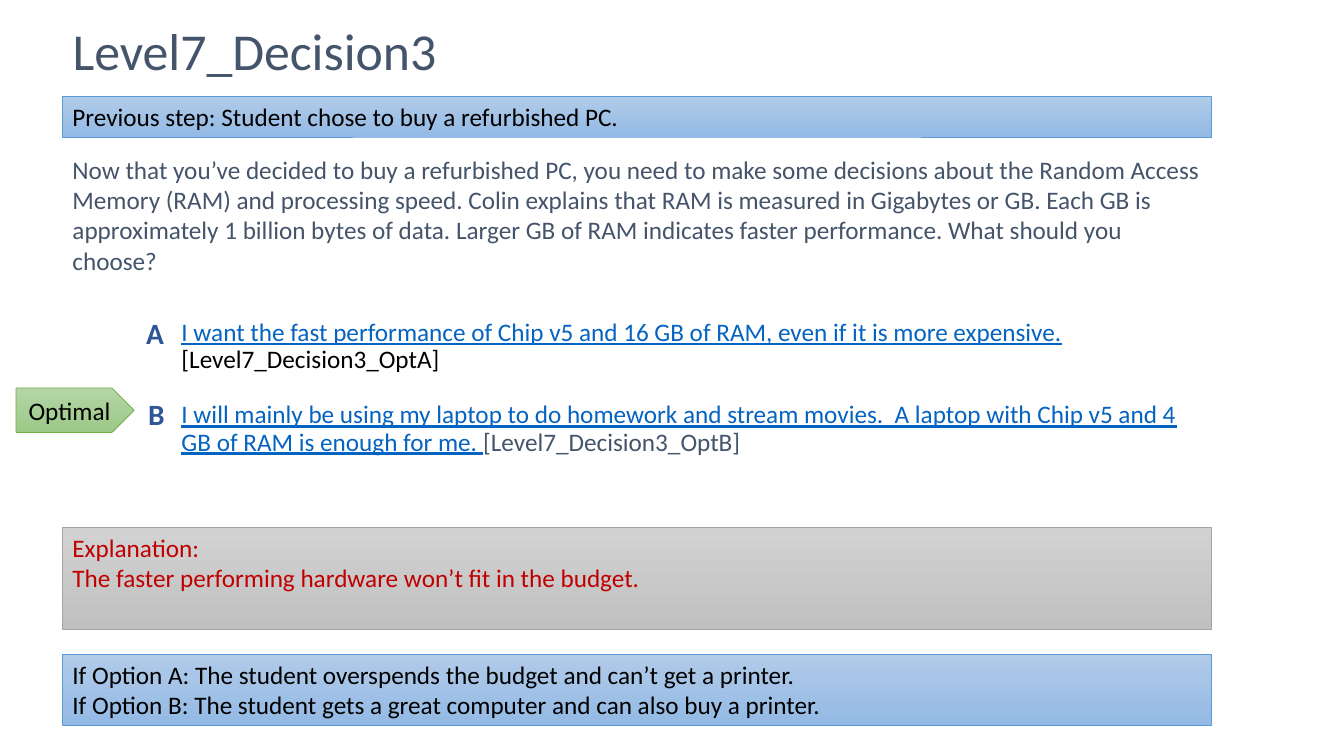
from pptx import Presentation
from pptx.dml.color import RGBColor
from pptx.enum.shapes import MSO_SHAPE as Shape
from pptx.enum.text import MSO_ANCHOR as Anchor, PP_ALIGN as Align
from pptx.util import Inches, Pt

FONT = "Calibri"
BLACK = RGBColor(0x00, 0x00, 0x00)
SLATE = RGBColor(0x44, 0x54, 0x6A)
RED = RGBColor(0xC0, 0x00, 0x00)
LETTER_BLUE = RGBColor(0x2F, 0x55, 0x97)
LINK_BLUE = RGBColor(0x05, 0x63, 0xC1)

# Each style: gradient top, gradient bottom, outline
BLUE = (RGBColor(0xB1, 0xCB, 0xE9), RGBColor(0x93, 0xB9, 0xE4), RGBColor(0x5B, 0x9B, 0xD5))
GREY = (RGBColor(0xD2, 0xD2, 0xD2), RGBColor(0xC0, 0xC0, 0xC0), RGBColor(0xA5, 0xA5, 0xA5))
GREEN = (RGBColor(0xB5, 0xD5, 0xA7), RGBColor(0x9C, 0xC9, 0x87), RGBColor(0x70, 0xAD, 0x47))

# Shared column of the title, the panels and the question
LEFT, WIDTH = 0.62, 11.39


def set_font(font, color, size=18, bold=False):
    font.name = FONT
    font.size = Pt(size)
    font.bold = bold
    font.color.rgb = color


def write_lines(frame, lines, color, size=18, bold=False, align=Align.LEFT):
    frame.word_wrap = True
    for index, line in enumerate(lines):
        para = frame.add_paragraph() if index else frame.paragraphs[0]
        para.text = line
        para.alignment = align
        set_font(para.font, color, size, bold)


def add_text(page, left, top, width, height, lines, color, **style):
    box = page.shapes.add_textbox(Inches(left), Inches(top), Inches(width), Inches(height))
    write_lines(box.text_frame, lines, color, **style)
    return box.text_frame


def add_panel(page, kind, left, top, width, height, style, lines, color,
              align=Align.LEFT, anchor=Anchor.TOP):
    panel = page.shapes.add_shape(kind, Inches(left), Inches(top), Inches(width), Inches(height))
    panel.shadow.inherit = False
    upper, lower, outline = style
    panel.fill.gradient()
    panel.fill.gradient_angle = 270
    for stop, color_stop in zip(panel.fill.gradient_stops, (upper, lower)):
        stop.color.rgb = color_stop
    panel.line.color.rgb = outline
    panel.line.width = Pt(0.5)
    panel.text_frame.vertical_anchor = anchor
    write_lines(panel.text_frame, lines, color, align=align)


def add_title(page, text):
    title = page.shapes.title
    title.left, title.top = Inches(LEFT), Inches(0.21)
    title.width, title.height = Inches(WIDTH), Inches(1.25)
    title.text_frame.vertical_anchor = Anchor.TOP
    write_lines(title.text_frame, [text], SLATE, size=37)
    title.text_frame.paragraphs[0].line_spacing = 0.9


def add_options(page, options):
    frame = add_text(page, 1.58, 2.77, 10.45, 3.32, [""] * len(options), BLACK)
    frame.margin_left = Inches(0.22)
    frame.margin_top = Inches(0.4)
    for index, (para, (choice, target, color)) in enumerate(zip(frame.paragraphs, options)):
        para.line_spacing = 0.9
        if index:
            para.space_before = Pt(20)
        link = para.add_run()
        link.text = choice
        set_font(link.font, LINK_BLUE)
        link.font.underline = True
        label = para.add_run()
        label.text = target
        set_font(label.font, color)


def add_letter(page, left, top, width, height, letter):
    frame = add_text(page, left, top, width, height, [letter], LETTER_BLUE, size=21, bold=True)
    frame.margin_left = frame.margin_right = Inches(0.13)
    frame.margin_top = frame.margin_bottom = Inches(0.07)


def main():
    deck = Presentation()
    deck.slide_width, deck.slide_height = Inches(13.33), Inches(7.5)
    page = deck.slides.add_slide(deck.slide_layouts[5])
    add_title(page, "Level7_Decision3")

    # Answer options
    add_options(page, [
        ("I want the fast performance of Chip v5 and 16 GB of RAM, even if it is more expensive.",
         " [Level7_Decision3_OptA]", BLACK),
        ("I will mainly be using my laptop to do homework and stream movies.  "
         "A laptop with Chip v5 and 4 GB of RAM is enough for me. ",
         "[Level7_Decision3_OptB]", SLATE),
    ])
    add_panel(page, Shape.PENTAGON, 0.16, 3.85, 1.17, 0.44, GREEN, ["Optimal"], BLACK,
              align=Align.CENTER, anchor=Anchor.MIDDLE)
    add_letter(page, 1.32, 3.06, 0.68, 0.58, "A")
    add_letter(page, 1.34, 3.86, 0.7, 0.44, "B")

    # Outcome, explanation and previous step
    panels = [
        (6.49, 0.71, BLUE, BLACK,
         ["If Option A: The student overspends the budget and can’t get a printer.",
          "If Option B: The student gets a great computer and can also buy a printer."]),
        (5.23, 1.01, GREY, RED,
         ["Explanation:", "The faster performing hardware won’t fit in the budget."]),
        (0.96, 0.4, BLUE, BLACK,
         ["Previous step: Student chose to buy a refurbished PC."]),
    ]
    for top, height, style, color, lines in panels:
        add_panel(page, Shape.RECTANGLE, LEFT, top, WIDTH, height, style, lines, color)

    # Question
    add_text(page, LEFT, 1.48, WIDTH, 1.62, [
        "Now that you’ve decided to buy a refurbished PC, you need to make some decisions "
        "about the Random Access Memory (RAM) and processing speed. Colin explains that RAM "
        "is measured in Gigabytes or GB. Each GB is approximately 1 billion bytes of data. "
        "Larger GB of RAM indicates faster performance. What should you choose?"], SLATE)

    deck.save("out.pptx")


if __name__ == "__main__":
    main()
